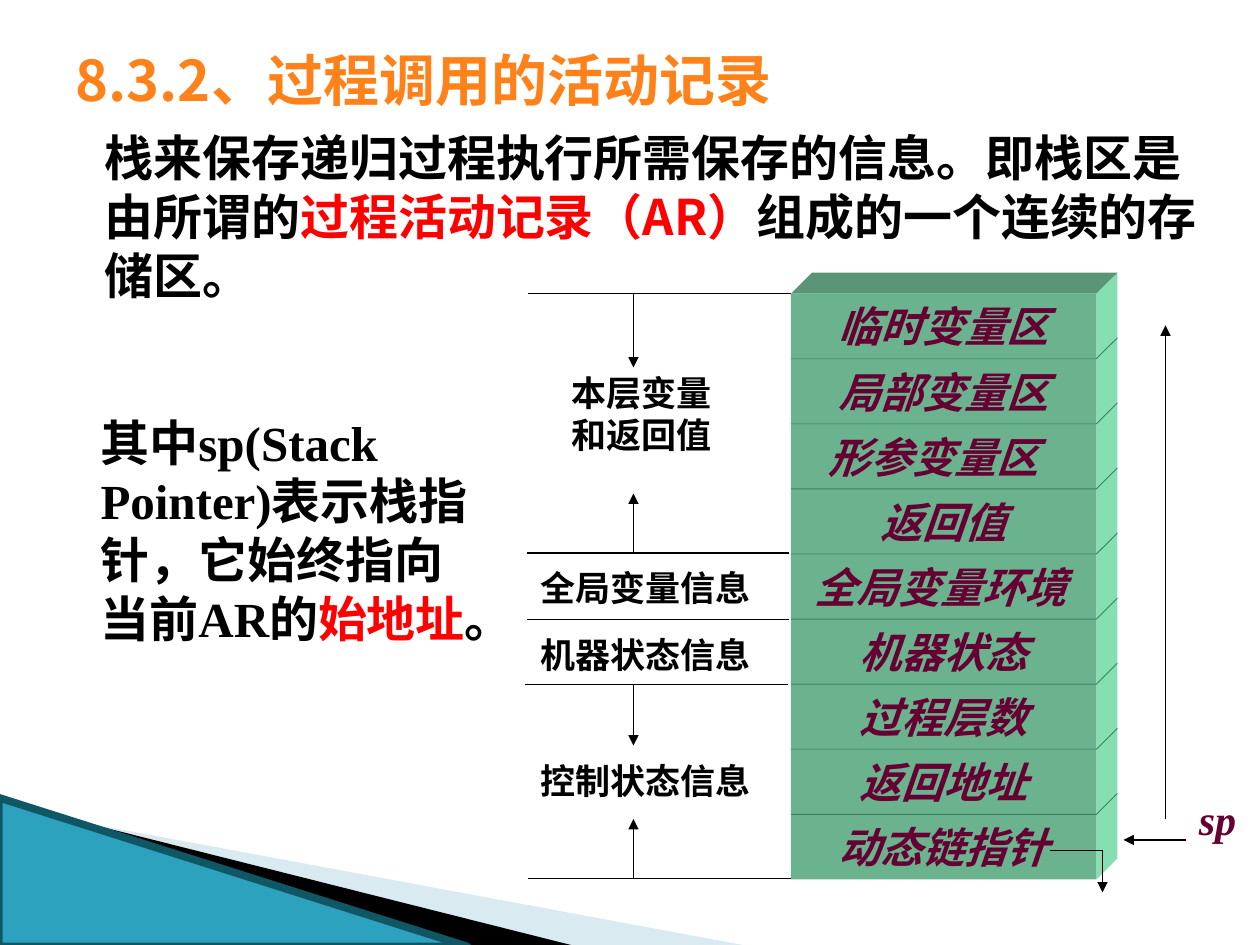
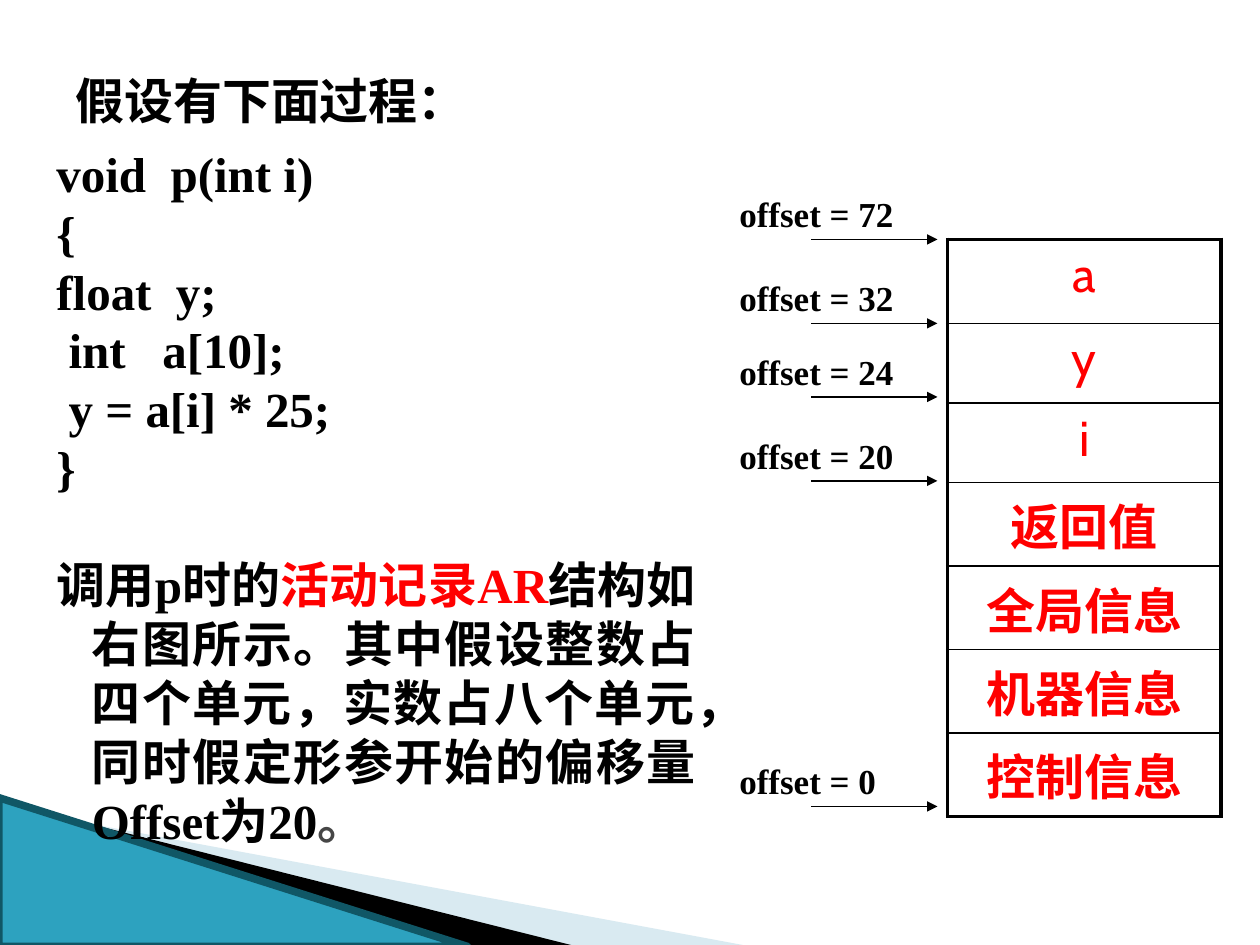
from lxml.etree import SubElement
from pptx import Presentation
from pptx.dml.color import RGBColor
from pptx.enum.shapes import MSO_CONNECTOR as Connector, MSO_SHAPE as Shape
from pptx.enum.text import MSO_ANCHOR as Anchor, PP_ALIGN as Align
from pptx.oxml.ns import qn
from pptx.util import Pt

BLACK = RGBColor(0x00, 0x00, 0x00)
RED = RGBColor(0xFF, 0x00, 0x00)
GRAY = RGBColor(0x46, 0x46, 0x46)
ORANGE = RGBColor(0xFF, 0x81, 0x19)
PLUM = RGBColor(0x66, 0x00, 0x33)
TEAL = RGBColor(0x2D, 0xA2, 0xBF)
DARK_TEAL = RGBColor(0x10, 0x57, 0x66)
PALE_BLUE = RGBColor(0xA0, 0xCB, 0xDC)
EDGE_BLUE = RGBColor(0x97, 0xC5, 0xD8)
STACK_FRONT = RGBColor(0x6B, 0xB2, 0x8F)
STACK_SIDE = RGBColor(0x86, 0xDF, 0xB3)
STACK_TOP = RGBColor(0x5A, 0x95, 0x78)
STACK_EDGE = RGBColor(0x3F, 0x80, 0x62)

SERIF = "Times New Roman"
SANS = "Noto Sans CJK SC"
TABLE_FONT = "Cabin"

TITLE = dict(name=SANS, size=Pt(32), bold=True, color=ORANGE)
HEADING = dict(name=SANS, size=Pt(28), bold=True, color=BLACK)
BODY = dict(HEADING, name=SERIF)
NOTE = dict(BODY, size=Pt(20))
STACK_LABEL = dict(BODY, size=Pt(24), italic=True, color=PLUM)
CELL = dict(name=TABLE_FONT, size=Pt(28), color=RED)

STACK_LEFT, STACK_TOP_EDGE = 452, 167.8
STACK_WIDTH, SLOT_HEIGHT, DEPTH = 174.5, 37.2, 12
STACK_SLOTS = ["临时变量区", "局部变量区", "形参变量区", "返回值", "全局变量环境",
               "机器状态", "过程层数", "返回地址", "动态链指针"]
SLOT_INSETS = {"形参变量区": 12, "全局变量环境": 4}


def add_span(para, text, style):
    span = para.add_run()
    span.text = text
    for key, value in style.items():
        if key == "color":
            span.font.color.rgb = value
        else:
            setattr(span.font, key, value)
    SubElement(span.font._element, qn("a:ea")).set("typeface", SANS)


def fill_para(para, spans, style, **layout):
    for key, value in layout.items():
        setattr(para, key, value)
    for text, color in spans:
        add_span(para, text, dict(style, color=color or style["color"]))


def add_text(page, area, spans, style, anchor=Anchor.TOP, wrap=True, inset=None):
    box = page.shapes.add_textbox(*map(Pt, area))
    frame = box.text_frame
    frame.word_wrap = wrap
    frame.vertical_anchor = anchor
    if inset is not None:
        for side in ("left", "top", "right", "bottom"):
            setattr(frame, f"margin_{side}", Pt(inset))
    fill_para(frame.paragraphs[0], spans, style,
              line_spacing=Pt(style["size"].pt * 1.2))
    return frame


def add_line(page, start, end, arrow=False, color=BLACK, width=0.75):
    line = page.shapes.add_connector(Connector.STRAIGHT, *map(Pt, start + end))
    line.line.color.rgb = color
    line.line.width = Pt(width)
    if arrow:
        SubElement(line.line._get_or_add_ln(), qn("a:tailEnd")).set("type", "triangle")
    SubElement(line._element.spPr, qn("a:effectLst"))


def paint(shape, fill, edge=None, width=0.5):
    shape.shadow.inherit = False
    if fill is None:
        shape.fill.background()
    else:
        shape.fill.solid()
        shape.fill.fore_color.rgb = fill
    if edge is None:
        shape.line.fill.background()
    else:
        shape.line.color.rgb = edge
        shape.line.width = Pt(width)


def add_outline(page, points, fill, edge=None, close=True):
    corners = [(Pt(x), Pt(y)) for x, y in points]
    builder = page.shapes.build_freeform(*corners[0], scale=1.0)
    builder.add_line_segments(corners[1:], close=close)
    outline = builder.convert_to_shape()
    paint(outline, fill, edge)
    return outline


def add_corner_wedge(page):
    pale = add_outline(page, [(39.6, 468.5), (428.4, 540.7), (328.3, 540.7)], PALE_BLUE)
    color = pale.fill._xPr.find(qn("a:solidFill"))[0]
    SubElement(color, qn("a:alpha")).set("val", "40000")
    add_outline(page, [(38.2, 467.5), (329, 540.7), (267.8, 541.4)], BLACK)
    add_line(page, (-0.7, 455.8), (267, 541.4), color=EDGE_BLUE, width=0.95)
    wedge = page.shapes.add_shape(Shape.RIGHT_TRIANGLE, *map(Pt, (-0.7, 455.8, 267.8, 85)))
    paint(wedge, TEAL, DARK_TEAL, 4.33)


def add_stack(page):
    right = STACK_LEFT + STACK_WIDTH
    bottom = STACK_TOP_EDGE + SLOT_HEIGHT * len(STACK_SLOTS)
    back_right, back_top = right + DEPTH, STACK_TOP_EDGE - DEPTH
    add_outline(page, [(right, STACK_TOP_EDGE), (back_right, back_top),
                       (back_right, bottom - DEPTH), (right, bottom)], STACK_SIDE)
    add_outline(page, [(STACK_LEFT, STACK_TOP_EDGE), (STACK_LEFT + DEPTH, back_top),
                       (back_right, back_top), (right, STACK_TOP_EDGE)], STACK_TOP)
    for index, label in enumerate(STACK_SLOTS):
        top = STACK_TOP_EDGE + index * SLOT_HEIGHT
        slot = page.shapes.add_shape(
            Shape.RECTANGLE, *map(Pt, (STACK_LEFT, top, STACK_WIDTH, SLOT_HEIGHT)))
        paint(slot, STACK_FRONT)
        frame = slot.text_frame
        frame.vertical_anchor = Anchor.MIDDLE
        frame.margin_right = Pt(7.2 + SLOT_INSETS.get(label, 0))
        fill_para(frame.paragraphs[0], [(label, None)], STACK_LABEL, alignment=Align.CENTER)
        if index:
            add_outline(page, [(STACK_LEFT, top), (right, top), (back_right, top - DEPTH)],
                        None, STACK_EDGE, close=False)


def add_record_table(page, labels, heights):
    area = map(Pt, (541.5, 136.8, 156.2, sum(heights)))
    table = page.shapes.add_table(len(labels), 1, *area).table
    table.first_row = table.horz_banding = False
    for index, (label, height) in enumerate(zip(labels, heights)):
        table.rows[index].height = Pt(height)
        cell = table.cell(index, 0)
        style = dict(CELL, bold=len(label) > 1)
        fill_para(cell.text_frame.paragraphs[0], [(label, None)], style,
                  alignment=Align.CENTER)
        properties = cell._tc.get_or_add_tcPr()
        widths = dict(lnL=2.25, lnR=2.25, lnT=1 if index else 2.25,
                      lnB=2.25 if index == len(labels) - 1 else 1)
        for side, width in widths.items():
            border = SubElement(properties, qn(f"a:{side}"), w=str(Pt(width)))
            SubElement(SubElement(border, qn("a:solidFill")), qn("a:srgbClr"), val=str(BLACK))
        cell.fill.background()


def build_record_page(page):
    add_corner_wedge(page)
    add_text(page, (36, 18, 642, 54), [("8.3.2、过程调用的活动记录", None)], TITLE, Anchor.MIDDLE)
    add_text(page, (59.8, 73, 624.2, 101),
             [("栈来保存递归过程执行所需保存的信息。即栈区是由所谓的", None),
              ("过程活动记录（AR）", RED), ("组成的一个连续的存储区。", None)],
             HEADING, inset=0)
    add_stack(page)
    for left, right, y in [(302, 452, 167.8), (301, 451, 316), (301, 451, 354),
                           (300, 450, 391), (302, 452, 502)]:
        add_line(page, (right, y), (left, y))
    for start, end in [(167.8, 210), (316, 282), (391, 426), (502, 468)]:
        add_line(page, (362, start), (362, end), arrow=True)
    add_text(page, (319.7, 209, 102.2, 55.4), [("本层变量和返回值", None)], NOTE)
    for label, top in [("全局变量信息", 320.4), ("机器状态信息", 358.6), ("控制状态信息", 430.6)]:
        add_text(page, (301.7, top, 135.4, 31), [(label, None)], NOTE, wrap=False)
    add_text(page, (50.4, 232, 234, 143.3),
             [("其中sp(Stack Pointer)表示栈指针，它始终指向当前AR的", None),
              ("始地址", RED), ("。", None)], BODY)
    add_text(page, (678, 450, 36, 36), [("sp", None)], STACK_LABEL, wrap=False)
    add_line(page, (678, 480), (642, 480), arrow=True)
    add_line(page, (600, 486), (630, 486))
    add_line(page, (630, 486), (630, 510), arrow=True)
    add_line(page, (666, 468), (666, 186), arrow=True)


def build_example_page(page):
    add_corner_wedge(page)
    code = ["void  p(int i)", "{", "float  y;", " int   a[10];", " y = a[i] * 25;", "}"]
    paragraphs = [[(line, None)] for line in code]
    paragraphs.append([
        ("调用p时的", None), ("活动记录AR", RED),
        ("结构如右图所示。其中假设整数占四个单元，实数占八个单元，"
         "同时假定形参开始的偏移量Offset为20", None), ("。", GRAY)])
    frame = add_text(page, (16.6, 78.5, 388, 416), [], BODY)
    for index, spans in enumerate(paragraphs):
        para = frame.add_paragraph() if index else frame.paragraphs[0]
        properties = para._p.get_or_add_pPr()
        properties.set("marL", str(Pt(28.8)))
        properties.set("indent", str(Pt(-20.2)))
        fill_para(para, spans, BODY, alignment=Align.JUSTIFY, line_spacing=Pt(33.6),
                  space_before=Pt(33.6 if index == len(code) else 0))
    add_text(page, (36, 36, 612, 42), [("假设有下面过程：", None)], HEADING, Anchor.MIDDLE)
    add_record_table(page, ["a", "y", "i", "返回值", "全局信息", "机器信息", "控制信息"],
                     [48, 45.5, 45.5] + [47.7] * 4)
    for offset, y in [(0, 460.8), (20, 274.8), (24, 226.8), (32, 184.8), (72, 136.8)]:
        add_line(page, (463.7, y), (535.7, y), arrow=True)
        add_text(page, (415.4, y - 30.2, 108, 31), [(f"offset = {offset}", None)], NOTE)


def main():
    deck = Presentation()
    deck.slide_width, deck.slide_height = Pt(720), Pt(540)
    for build in (build_record_page, build_example_page):
        build(deck.slides.add_slide(deck.slide_layouts[6]))
    deck.save("out.pptx")


if __name__ == "__main__":
    main()
